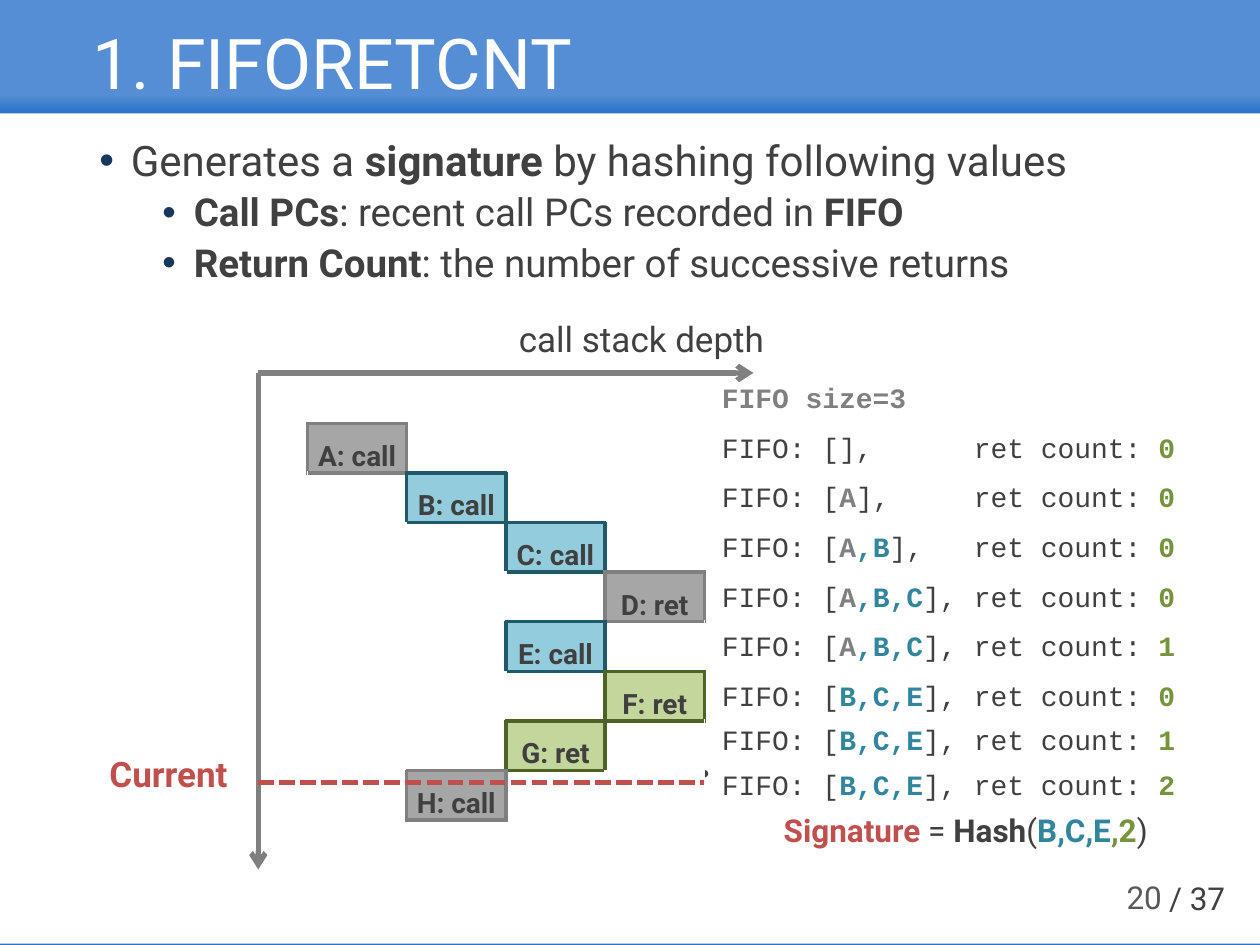
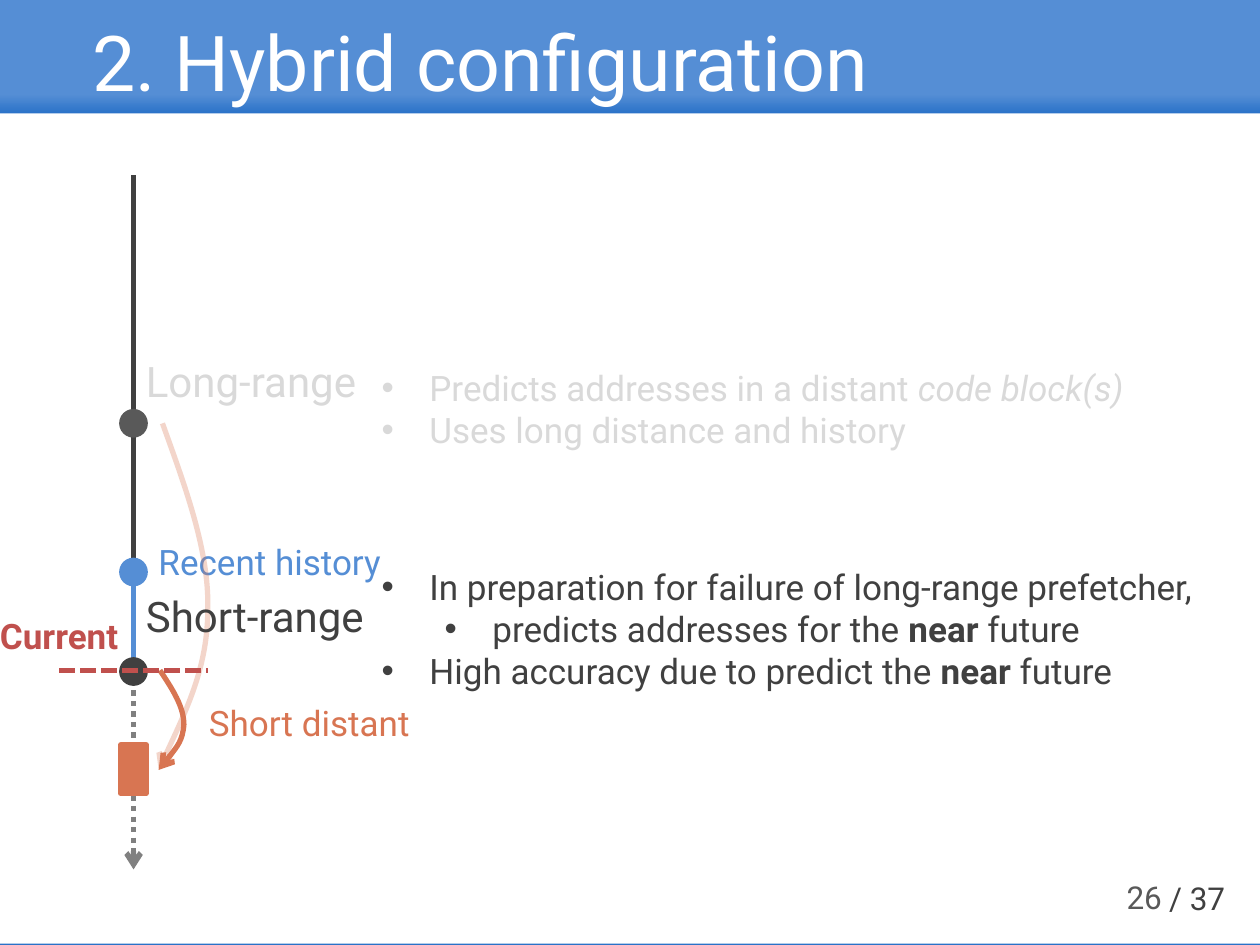
from dataclasses import dataclass

from lxml import etree
from pptx import Presentation
from pptx.dml.color import RGBColor
from pptx.enum import dml, shapes, text
from pptx.oxml.ns import qn
from pptx.util import Inches, Pt

WHITE = RGBColor(0xFF, 0xFF, 0xFF)
INK = RGBColor(0x40, 0x40, 0x40)
DARK_GRAY = RGBColor(0x59, 0x59, 0x59)
GRAY = RGBColor(0x80, 0x80, 0x80)
CELL_GRAY = RGBColor(0xA6, 0xA6, 0xA6)
FADED = RGBColor(0xD9, 0xD9, 0xD9)
BLUE = RGBColor(0x55, 0x8E, 0xD5)
BAND_EDGE = RGBColor(0x2A, 0x72, 0xC8)
NAVY = RGBColor(0x17, 0x37, 0x5E)
TEAL = RGBColor(0x31, 0x85, 0x9C)
TEAL_FILL = RGBColor(0x93, 0xCD, 0xDD)
TEAL_EDGE = RGBColor(0x21, 0x59, 0x68)
GREEN = RGBColor(0x77, 0x93, 0x3C)
GREEN_FILL = RGBColor(0xC3, 0xD6, 0x9B)
GREEN_EDGE = RGBColor(0x4F, 0x62, 0x28)
RED = RGBColor(0xC0, 0x50, 0x4D)
ORANGE = RGBColor(0xD8, 0x75, 0x52)

SANS, MONO = "Roboto", "Courier New"
MIDDLE = text.MSO_ANCHOR.MIDDLE
DASH, DOT = dml.MSO_LINE.SQUARE_DOT, dml.MSO_LINE.ROUND_DOT
PAGE_COUNT = 37


@dataclass
class Line:
    """One paragraph; each run is a string or a (string, format) pair."""
    runs: list
    level: int = 0
    size: float = None
    before: float = 0


def bold(words, color=None):
    return words, {"bold": True, "color": color}


def add_element(parent, tag, **attributes):
    return etree.SubElement(parent, qn(tag), attributes)


def format_run(run, words, size, color, font=SANS, bold=False, italic=False):
    run.text = words
    run.font.size, run.font.name = Pt(size), font
    run.font.bold, run.font.italic = bold, italic
    run.font.color.rgb = color


class Deck:
    def __init__(self):
        self.presentation = Presentation()
        self.presentation.slide_width = Inches(10)
        self.presentation.slide_height = Inches(7.5)
        self.slide = None

    def new_slide(self, title, number, title_size):
        self.slide = self.presentation.slides.add_slide(self.presentation.slide_layouts[6])
        fill = self.slide.background.fill
        fill.gradient()
        fill.gradient_angle = 270
        for stop, color, position in zip(fill.gradient_stops, (BLUE, BAND_EDGE), (0.1, 0.12)):
            stop.color.rgb, stop.position = color, position
        self.shape(shapes.MSO_SHAPE.RECTANGLE, (0, 0.9, 10, 6.59), WHITE)
        self.text((9.18, 6.93, 0.8, 0.4), f"/ {PAGE_COUNT}", size=18)
        self.text((7.07, 6.92, 2.25, 0.4), str(number), size=18, color=DARK_GRAY,
                  align=text.PP_ALIGN.RIGHT, anchor=MIDDLE)
        self.text((0.69, 0.15, 8.62, 0.76), title, size=title_size, color=WHITE,
                  anchor=MIDDLE, inset=(0.04, 0.04), spacing=0.9)

    def text(self, at, lines, size=20, color=INK, font=SANS, bold=False, align=None,
             anchor=text.MSO_ANCHOR.TOP, inset=(0.1, 0.05), spacing=None,
             hanging=None, bullet_color=None, tab=None):
        """Add a text box; hanging is the bullet indent and tab a tab stop, in inches."""
        if isinstance(lines, str):
            lines = [Line([lines])]
        frame = self.slide.shapes.add_textbox(*map(Inches, at)).text_frame
        frame.word_wrap, frame.vertical_anchor = True, anchor
        frame.margin_left = frame.margin_right = Inches(inset[0])
        frame.margin_top = frame.margin_bottom = Inches(inset[1])
        for index, line in enumerate(lines):
            paragraph = frame.add_paragraph() if index else frame.paragraphs[0]
            paragraph.alignment, paragraph.line_spacing = align, spacing
            if index and line.before:
                paragraph.space_before = Pt(line.before)
            properties = paragraph._p.get_or_add_pPr()
            if hanging:
                properties.set("marL", str(Inches(hanging + 0.5 * line.level)))
                properties.set("indent", str(-Inches(hanging)))
                if bullet_color:
                    holder = add_element(properties, "a:buClr")
                    add_element(holder, "a:srgbClr", val=str(bullet_color))
                add_element(properties, "a:buFont", typeface="Arial")
                add_element(properties, "a:buChar", char="•")
            if tab:
                stops = add_element(properties, "a:tabLst")
                add_element(stops, "a:tab", pos=str(Inches(tab)), algn="l")
            for run in line.runs:
                words, changes = (run, {}) if isinstance(run, str) else run
                style = {"size": line.size or size, "color": color, "font": font, "bold": bold}
                style.update({key: value for key, value in changes.items() if value is not None})
                format_run(paragraph.add_run(), words, **style)

    def shape(self, kind, at, fill, line_width=None):
        shape = self.slide.shapes.add_shape(kind, *map(Inches, at))
        shape.shadow.inherit = False
        shape.fill.solid()
        shape.fill.fore_color.rgb = fill
        if line_width:
            shape.line.color.rgb, shape.line.width = fill, Pt(line_width)
        else:
            shape.line.fill.background()

    def dot(self, center, color):
        x, y = center
        self.shape(shapes.MSO_SHAPE.OVAL, (x - 0.1, y - 0.1, 0.2, 0.2), color, line_width=2)

    def stroke(self, shape, color, dash=None, arrow=False, alpha=None):
        shape.line.color.rgb, shape.line.width = color, Pt(3)
        if dash:
            shape.line.dash_style = dash
        outline = shape._element.spPr.find(qn("a:ln"))
        if arrow:
            add_element(outline, "a:tailEnd", type="arrow")
        if alpha:
            add_element(outline.find(".//" + qn("a:srgbClr")), "a:alpha", val=str(alpha * 1000))

    def line(self, start, end, color, **style):
        connector = self.slide.shapes.add_connector(
            shapes.MSO_CONNECTOR.STRAIGHT, *map(Inches, (*start, *end)))
        self.stroke(connector, color, **style)
        add_element(connector._element.spPr, "a:effectLst")

    def curve(self, points, color, **style):
        """Draw an open Bezier outline: a start, then two controls and an end per piece."""
        start, *rest = [(Inches(x), Inches(y)) for x, y in points]
        builder = self.slide.shapes.build_freeform(*start)
        builder.add_line_segments(rest, close=False)
        shape = builder.convert_to_shape()
        segments = list(shape._element.iter(qn("a:lnTo")))
        for first in range(0, len(segments), 3):
            bezier = add_element(segments[first].getparent(), "a:cubicBezTo")
            for segment in segments[first:first + 3]:
                bezier.append(segment[0])
                segment.getparent().remove(segment)
        shape.fill.background()
        shape.shadow.inherit = False
        self.stroke(shape, color, **style)

    def call_table(self, at, columns, calls):
        """Add a grid with one coloured call per row, given as (column, label, fill, edge)."""
        table = self.slide.shapes.add_table(len(calls), columns, *map(Inches, at)).table
        table.first_row = table.horz_banding = False
        for column in table.columns:
            column.width = Inches(at[2] / columns)
        for row in table.rows:
            row.height = Inches(at[3] / len(calls))
        marked = {(row, call[0]): call[1:] for row, call in enumerate(calls)}
        sides = {"a:lnL": (0, -1), "a:lnR": (0, 1), "a:lnT": (-1, 0), "a:lnB": (1, 0)}
        for row in range(len(calls)):
            for column in range(columns):
                cell = table.cell(row, column)
                own = marked.get((row, column))
                cell.margin_left = cell.margin_right = cell.margin_top = Inches(0.04)
                cell.margin_bottom = 0
                cell.vertical_anchor = text.MSO_ANCHOR.BOTTOM
                for tag, (down, right) in sides.items():
                    owner = own or marked.get((row + down, column + right))
                    border = add_element(cell._tc.get_or_add_tcPr(), tag,
                                         w=str(Pt(2.25 if owner else 1)))
                    paint = add_element(border, "a:solidFill")
                    add_element(paint, "a:srgbClr", val=str(owner[2] if owner else WHITE))
                cell.fill.solid()
                cell.fill.fore_color.rgb = own[1] if own else WHITE
                if own:
                    paragraph = cell.text_frame.paragraphs[0]
                    paragraph.alignment = text.PP_ALIGN.CENTER
                    format_run(paragraph.add_run(), own[0], 16, INK, bold=True)


def build_fiforetcnt(deck):
    deck.new_slide("1. FIFORETCNT", 20, title_size=40)
    deck.text((0.69, 1.06, 8.94, 1.4), [
        Line(["Generates a ", bold("signature"), " by hashing following values"], size=24),
        Line([bold("Call PCs"), ": recent call PCs recorded in ", bold("FIFO")],
             level=1, before=5),
        Line([bold("Return Count"), ": the number of successive returns"], level=1, before=5),
    ], size=22, spacing=0.9, hanging=0.25, bullet_color=NAVY)

    origin = (2.05, 2.96)
    for axis_end in ((2.05, 6.9), (5.98, 2.96)):
        deck.line(origin, axis_end, GRAY, arrow=True)
    deck.text((4.8, 5.92, 1.48, 0.44), "・・・")

    gray, teal, green = (CELL_GRAY, GRAY), (TEAL_FILL, TEAL_EDGE), (GREEN_FILL, GREEN_EDGE)
    deck.call_table((2.44, 3.36, 3.15, 3.15), 4, [
        (0, "A: call", *gray), (1, "B: call", *teal), (2, "C: call", *teal),
        (3, "D: ret", *gray), (2, "E: call", *teal), (3, "F: ret", *green),
        (2, "G: ret", *green), (1, "H: call", *gray),
    ])
    deck.text((4.02, 2.47, 2.36, 0.44), "call stack depth")
    deck.line((2.05, 6.21), (5.59, 6.21), RED, dash=DASH)
    deck.text((0.77, 5.92, 1.2, 0.44), "Current", color=RED, bold=True)
    deck.text((6.18, 6.41, 3, 0.36), [Line([
        bold("Signature", RED), " = ", bold("Hash"), "(", bold("B,C,E", TEAL),
        bold(",2", GREEN), ")"])], size=18, anchor=MIDDLE, inset=(0.04, 0.04))

    fifo_states = [("", "", 0), ("A", "", 0), ("A", ",B", 0), ("A", ",B,C", 0), ("A", ",B,C", 1),
                   ("", "B,C,E", 0), ("", "B,C,E", 1), ("", "B,C,E", 2)]
    log = [Line([bold("FIFO size=3", GRAY)])]
    for oldest, newer, returns in fifo_states:
        entries = [bold(words, color) for words, color in ((oldest, GRAY), (newer, TEAL)) if words]
        log.append(Line(["FIFO: [", *entries, "],\tret count: ", bold(str(returns), GREEN)]))
    tops = [2.96 + 3.15 / 8 * row for row in range(7)] + [5.67, 6.03]
    for top, line in zip(tops, log):
        deck.text((5.69, top, 3.8, 0.39), [line], size=16, font=MONO, anchor=MIDDLE,
                  inset=(0.04, 0.04), tab=2)


def build_hybrid(deck):
    deck.new_slide("2. Hybrid configuration", 26, title_size=44)
    axis = 1.06
    deck.line((axis, 1.39), (axis, 6.9), GRAY, dash=DOT, arrow=True)
    deck.line((axis, 1.39), (axis, 5.23), INK)
    deck.line((axis, 4.64), (axis, 5.23), BLUE)
    deck.curve([(1.27, 5.32), (1.37, 5.47), (1.46, 5.61), (1.46, 5.75),
                (1.45, 5.88), (1.36, 5.99), (1.26, 6.11)], ORANGE, arrow=True)
    deck.dot((axis, 4.54), BLUE)
    deck.text((1.16, 4.24, 2.07, 0.44), "Recent history", color=BLUE)
    deck.text((1.56, 5.52, 2.07, 0.44), "Short distant", color=ORANGE)
    deck.shape(shapes.MSO_SHAPE.RECTANGLE, (axis - 0.1, 5.91, 0.2, 0.39), ORANGE, line_width=3)
    deck.dot((axis, 5.33), INK)
    deck.dot((axis, 3.36), DARK_GRAY)
    deck.curve([(1.29, 3.36), (1.47, 3.86), (1.66, 4.37), (1.65, 4.83),
                (1.65, 5.29), (1.45, 5.7), (1.26, 6.11)], ORANGE, arrow=True, alpha=30)
    deck.line((0.47, 5.32), (1.65, 5.32), RED, dash=DASH)
    deck.text((0, 4.83, 1.1, 0.44), "Current", color=RED, bold=True, inset=(0, 0.05))
    deck.text((2.93, 4.44, 7, 1.51), [
        Line(["In preparation for failure of long-range prefetcher,"]),
        Line(["predicts addresses for the ", bold("near"), " future"], level=1),
        Line(["High accuracy due to predict the ", bold("near"), " future"]),
    ], hanging=0.38)
    deck.text((1.06, 4.64, 2.07, 0.5), "Short-range", size=24)
    deck.text((2.93, 2.86, 7, 0.77), [
        Line(["Predicts addresses in a distant ", ("code block(s)", {"italic": True})]),
        Line(["Uses long distance and history"]),
    ], color=FADED, hanging=0.38)
    deck.text((1.06, 2.77, 1.97, 0.5), "Long-range", size=24, color=FADED)


def main():
    deck = Deck()
    build_fiforetcnt(deck)
    build_hybrid(deck)
    deck.presentation.save("out.pptx")


if __name__ == "__main__":
    main()
